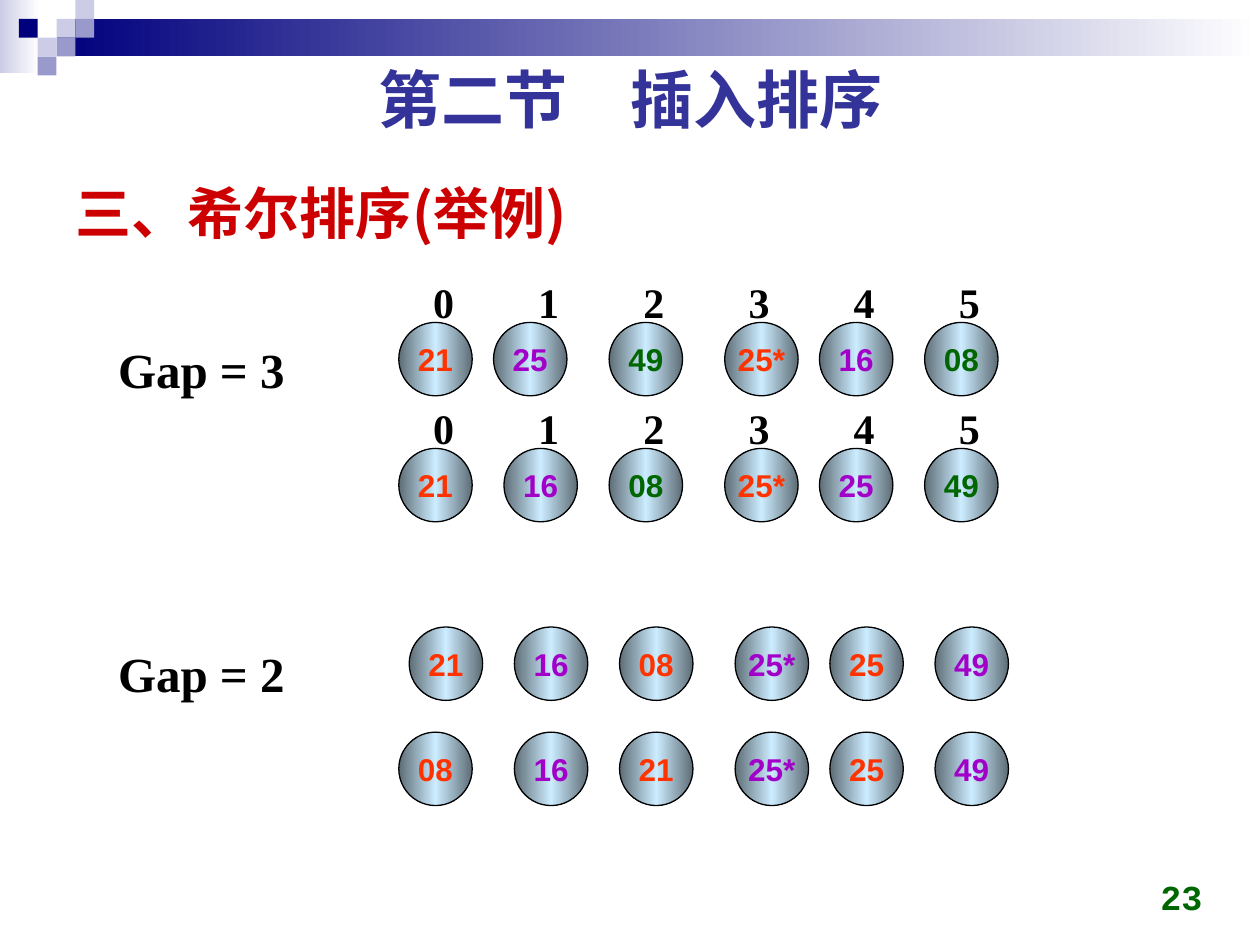
from copy import deepcopy

from lxml.etree import SubElement
from pptx import Presentation
from pptx.dml.color import RGBColor
from pptx.enum.shapes import MSO_SHAPE
from pptx.enum.text import MSO_ANCHOR, PP_ALIGN
from pptx.oxml.ns import qn
from pptx.util import Cm, Pt

CJK_FONT = "Noto Sans CJK SC"


def add_span(para, text, font, size, color):
    span = para.add_run()
    span.text = text
    span.font.name = font
    span.font.size = Pt(size)
    span.font.bold = True
    span.font.color.rgb = RGBColor.from_string(color)
    SubElement(span.font._element, qn("a:ea")).set("typeface", CJK_FONT)


def fill_gradient(shape, colors):
    shape.fill.gradient()
    shape.fill.gradient_angle = 0
    stop_list = shape._element.spPr.find(".//" + qn("a:gsLst"))
    for _ in colors[2:]:
        stop_list.append(deepcopy(stop_list[-1]))
    for number, (stop, color) in enumerate(zip(shape.fill.gradient_stops, colors)):
        stop.position = number / (len(colors) - 1)
        stop.color.rgb = RGBColor.from_string(color)


deck = Presentation()
deck.slide_width, deck.slide_height = Cm(25.4), Cm(19.05)
page = deck.slides.add_slide(deck.slide_layouts[5])
shapes = page.shapes

# Header bands
for left, top, width, height, colors in [
    (0, 0, 0.79, 1.47, ["CCCCE6", "FFFFFF"]),
    (1.14, 0.38, 24.26, 0.76, ["00007D", "FFFFFF"]),
]:
    band = shapes.add_shape(MSO_SHAPE.RECTANGLE, Cm(left), Cm(top), Cm(width), Cm(height))
    band.shadow.inherit = False
    band.line.fill.background()
    fill_gradient(band, colors)

# Header squares, by column and row of a small grid
SQUARE = 0.38
for column, row, color in [
    (3, 1, "CCCCE6"), (4, 0, "CCCCE6"), (4, 1, "9999CC"), (2, 2, "CCCCE6"),
    (1, 1, "00007D"), (3, 2, "9999CC"), (2, 3, "9999CC"),
]:
    square = shapes.add_shape(MSO_SHAPE.RECTANGLE, Cm(column * SQUARE), Cm(row * SQUARE),
                              Cm(SQUARE), Cm(SQUARE))
    square.shadow.inherit = False
    square.line.fill.background()
    square.fill.solid()
    square.fill.fore_color.rgb = RGBColor.from_string(color)

# Topic in the title placeholder
title = shapes.title
title.left, title.top, title.width, title.height = Cm(1.27), Cm(3.33), Cm(15.88), Cm(1.9)
title.text_frame.vertical_anchor = MSO_ANCHOR.MIDDLE
para = title.text_frame.paragraphs[0]
para.alignment = PP_ALIGN.LEFT
add_span(para, "三、希尔排序(举例)", CJK_FONT, 32, "CC0000")

# Section heading, gap labels and page number
for left, top, width, height, text, font, size, color, align, anchor in [
    (0.97, 1.09, 23.5, 1.78, "第二节\u3000插入排序".replace("\u3000", "　"), "Cabin", 36, "333399",
     PP_ALIGN.CENTER, MSO_ANCHOR.TOP),
    (2.13, 6.71, 3.86, 1.45, "Gap = 3", "Times New Roman", 28, "000000",
     PP_ALIGN.LEFT, MSO_ANCHOR.TOP),
    (2.13, 12.85, 3.86, 1.45, "Gap = 2", "Times New Roman", 28, "000000",
     PP_ALIGN.LEFT, MSO_ANCHOR.TOP),
    (18.57, 17.35, 5.92, 1.27, "23", "Courier New", 20, "006600",
     PP_ALIGN.RIGHT, MSO_ANCHOR.BOTTOM),
]:
    box = shapes.add_textbox(Cm(left), Cm(top), Cm(width), Cm(height))
    box.text_frame.word_wrap = True
    box.text_frame.vertical_anchor = anchor
    para = box.text_frame.paragraphs[0]
    para.alignment = align
    add_span(para, text, font, size, color)

# Index rows, one tab stop per position
PITCH = 2.12
for top in (5.44, 7.98):
    box = shapes.add_textbox(Cm(8.48), Cm(top), Cm(11.8), Cm(1.27))
    box.text_frame.word_wrap = True
    para = box.text_frame.paragraphs[0]
    tabs = SubElement(para._p.get_or_add_pPr(), qn("a:tabLst"))
    for position in range(1, 6):
        SubElement(tabs, qn("a:tab"), pos=str(Cm(position * PITCH)), algn="l")
    add_span(para, "\t".join("012345"), "Times New Roman", 24, "000000")

# Number balls: elements a gap apart share a colour; nudges count small steps right
BALL, NUDGE = 1.48, 0.21
GROUP_COLORS = ["FF3300", "A200C8", "006600"]
for top, gap, values, nudges in [
    (6.5, 3, ["21", "25", "49", "25*", "16", "08"], [0, -1, 0, 1, 0, 0]),
    (9.04, 3, ["21", "16", "08", "25*", "25", "49"], [0, 0, 0, 1, 0, 0]),
    (12.64, 2, ["21", "16", "08", "25*", "25", "49"], [1, 1, 1, 2, 1, 1]),
    (14.76, 2, ["08", "16", "21", "25*", "25", "49"], [0, 1, 1, 2, 1, 1]),
]:
    for position, (value, nudge) in enumerate(zip(values, nudges)):
        left = 8.04 + position * PITCH + nudge * NUDGE
        ball = shapes.add_shape(MSO_SHAPE.OVAL, Cm(left), Cm(top), Cm(BALL), Cm(BALL))
        ball.shadow.inherit = False
        fill_gradient(ball, ["5E6D76", "CCECFF", "5E6D76"])
        ball.line.color.rgb = RGBColor.from_string("000000")
        ball.line.width = Pt(0.75)
        ball.text_frame.word_wrap = False
        ball.text_frame.vertical_anchor = MSO_ANCHOR.MIDDLE
        para = ball.text_frame.paragraphs[0]
        para.alignment = PP_ALIGN.CENTER
        add_span(para, value, "Arial", 18, GROUP_COLORS[position % gap])

deck.save("out.pptx")
